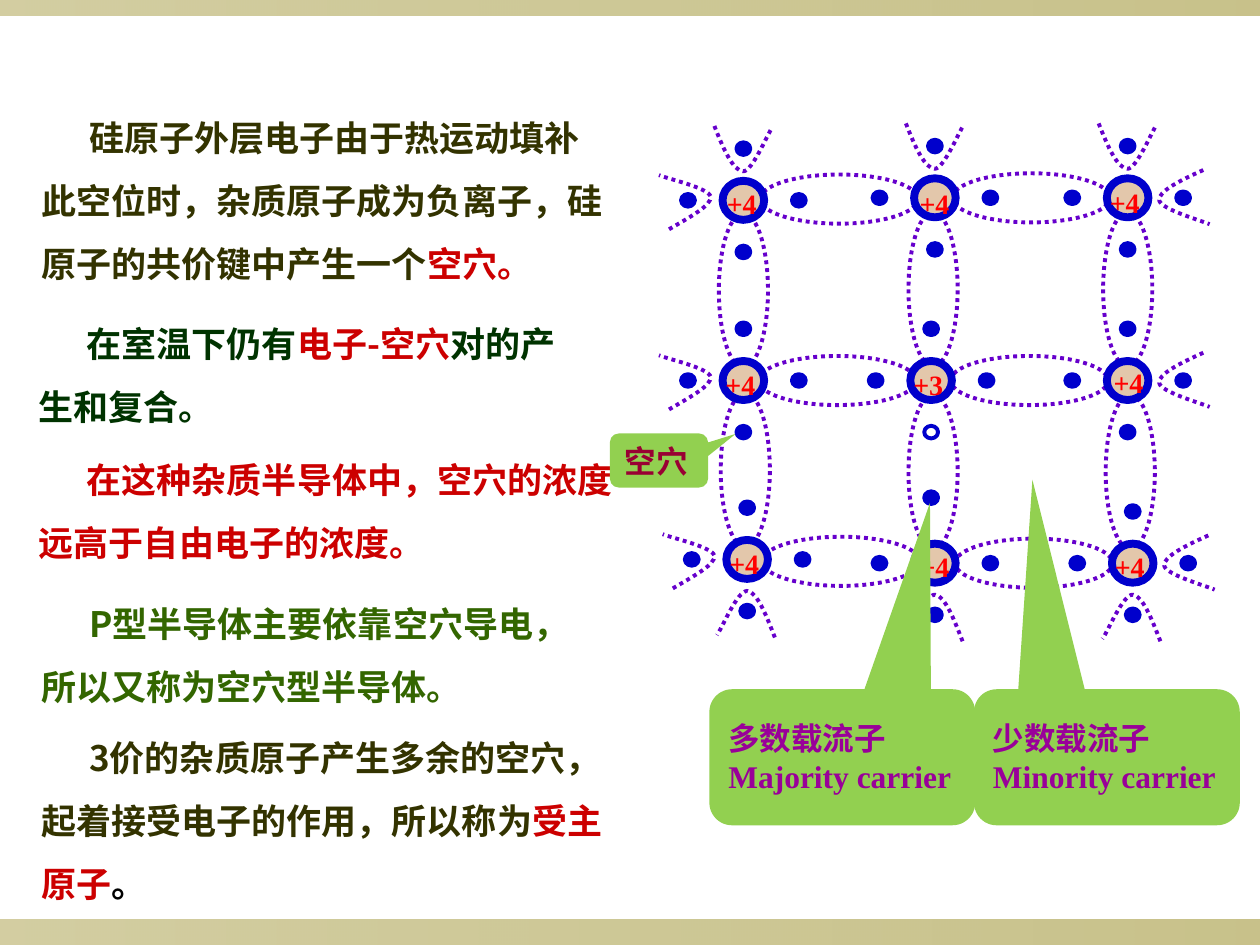
"""Build a slide on holes and carriers in a P-type semiconductor."""
from lxml import etree
from pptx import Presentation, util as u
from pptx.dml import color
from pptx.enum import dml, shapes, text
from pptx.oxml import ns

WIDE, HIGH = u.Inches(10), u.Inches(7.5)
COLS, ROWS = 10, 7.5
SANS, SERIF = "Noto Sans CJK SC", "Times New Roman"
BLUE, VIOLET, RED, GREEN = "0000CC", "6600CC", "CC0000", "92D050"
OLIVE, PINE, MOSS, PLUM = "333300", "003300", "336600", "990099"
ION, DOT, TAG = (0.33, 0.31), (0.11, 0.1), (0.54, 0.37)
STEPS = {"N": (0, -0.41), "S": (0, 0.41), "W": (-0.44, 0), "E": (0.44, 0)}

# Each atom: centre, label corner, charge, sides that hold an electron.
ATOMS = [
    [((5.9, 1.59), (5.67, 1.43), "+4", "NSWE"),
     ((7.42, 1.57), (7.2, 1.43), "+4", "NSWE"),
     ((8.95, 1.57), (8.71, 1.42), "+4", "NSWE")],
    [((5.9, 3.02), (5.66, 2.87), "+4", "NSWE"),
     ((7.39, 3.02), (7.15, 2.87), "+3", "NWE"),
     ((8.95, 3.02), (8.74, 2.85), "+4", "NSWE")],
    [((5.93, 4.44), (5.69, 4.29), "+4", "NSWE"),
     ((7.42, 4.47), (7.2, 4.31), "+4", "SWE"),
     ((8.99, 4.47), (8.75, 4.31), "+4", "NSWE")],
]
ARCS = {
    "N": [(-0.23, -0.59), (-0.16, -0.41), (-0.08, -0.23), (0, -0.23),
          (0.07, -0.23), (0.19, -0.52), (0.23, -0.58)],
    "S": [(0.22, 0.62), (0.15, 0.44), (0.08, 0.26), (0, 0.25),
          (-0.08, 0.25), (-0.2, 0.55), (-0.24, 0.6)],
    "W": [(-0.59, 0.23), (-0.42, 0.13), (-0.25, 0.04), (-0.26, -0.03),
          (-0.28, -0.1), (-0.6, -0.17), (-0.67, -0.2)],
    "E": [(0.6, -0.22), (0.42, -0.14), (0.24, -0.05), (0.25, 0.02),
          (0.26, 0.09), (0.58, 0.18), (0.65, 0.21)],
}
NOTES = [
    ((0.23, 0.71, 4.69, 1.6),
     [("硅原子外层电子由于热运动填补此空位时，杂质原子成为负离子，"
       "硅原子的共价键中产生一个", OLIVE), ("空穴。", RED)]),
    ((0.21, 2.34, 4.4, 1.1),
     [("在室温下仍有", PINE), ("电子-空穴", RED), ("对的产生和复合。", PINE)]),
    ((0.21, 3.42, 4.79, 1.1),
     [("在这种杂质半导体中，空穴的浓度远高于自由电子的浓度。", RED)]),
    ((0.23, 4.57, 4.53, 1.1),
     [("P型半导体主要依靠空穴导电，所以又称为空穴型半导体。", MOSS)]),
    ((0.23, 5.63, 4.84, 1.6),
     [("3价的杂质原子产生多余的空穴，起着接受电子的作用，所以称为", OLIVE),
      ("受主原子", RED), ("。", "000000")]),
]
CALLS = [
    ((5.63, 5.47, 2.11, 1.08), (0.33, -1.87), "多数载流子Majority carrier", PLUM),
    ((4.84, 3.44, 0.78, 0.43), (0.78, -0.49), "空穴", "990033"),
    ((7.73, 5.47, 2.11, 1.08), (-0.28, -2.04), "少数载流子Minority carrier", PLUM),
]


def rgb(code):
    """Turn a hex string into a colour."""
    return color.RGBColor.from_string(code)


def grid(x, y, w, h):
    """Turn columns and rows into slide lengths."""
    return [int(n) for n in (x * WIDE / COLS, y * HIGH / ROWS,
                             w * WIDE / COLS, h * HIGH / ROWS)]


def mid(spot, size):
    """Give the box of a size centred on a spot."""
    return spot[0] - size[0] / 2, spot[1] - size[1] / 2, *size


def paint(shape, fill=None, line=None, width=2.25, dots=False):
    """Set the fill and line of a shape, without shadow."""
    shape.shadow.inherit = False
    if fill:
        shape.fill.solid()
        shape.fill.fore_color.rgb = rgb(fill)
    else:
        shape.fill.background()
    if not line:
        shape.line.fill.background()
        return
    shape.line.color.rgb = rgb(line)
    shape.line.width = u.Pt(width)
    if dots:
        shape.line.dash_style = dml.MSO_LINE.ROUND_DOT


def oval(slide, spot, size, **look):
    """Draw an ellipse centred on a spot."""
    shape = slide.shapes.add_shape(shapes.MSO_SHAPE.OVAL, *grid(*mid(spot, size)))
    paint(shape, **look)
    return shape


def bar(slide, box):
    """Draw a faded band across the slide."""
    shape = slide.shapes.add_shape(shapes.MSO_SHAPE.RECTANGLE, *grid(*box))
    paint(shape)
    shape.fill.gradient()
    shape.fill.gradient_angle = 0
    for stop, share, alpha in zip(shape.fill.gradient_stops, (0, 1), (40, 50)):
        stop.position = share
        stop.color.rgb = rgb("918415")
        tone = stop.color._xFill.find(ns.qn("a:srgbClr"))
        for old in list(tone):
            tone.remove(old)
        etree.SubElement(tone, ns.qn("a:alpha"), val=str(alpha * 1000))


def write(shape, runs, size, face):
    """Fill a shape with one bold paragraph of coloured runs."""
    frame = shape.text_frame
    frame.word_wrap = True
    para = frame.paragraphs[0]
    para.alignment = text.PP_ALIGN.LEFT
    for words, tint in runs:
        run = para.add_run()
        run.text = words
        run.font.color.rgb = rgb(tint)
    font = para.font
    font.size, font.bold, font.name = u.Pt(size), True, face
    etree.SubElement(font._element, ns.qn("a:ea"), typeface=SANS)
    return para


def note(slide, box, runs):
    """Add a body text with an indented first line."""
    para = write(slide.shapes.add_textbox(*grid(*box)), runs, 20, SANS)
    para.line_spacing = 1.5
    para._p.get_or_add_pPr().set("indent", str(u.Inches(0.38)))


def call(slide, box, tip, words, tint):
    """Add a rounded callout that points at a tip."""
    kind = shapes.MSO_SHAPE.ROUNDED_RECTANGULAR_CALLOUT
    shape = slide.shapes.add_shape(kind, *grid(*box))
    shape.adjustments[0], shape.adjustments[1] = tip
    paint(shape, GREEN)
    shape.text_frame.vertical_anchor = text.MSO_ANCHOR.MIDDLE
    write(shape, [(words, tint)], 18, SERIF)


def bond(slide, one, two, upright=False):
    """Draw the dotted bond halfway between two atoms."""
    spot = [(a + b) / 2 for a, b in zip(one[0], two[0])]
    size = (1.22 if upright else 1.25, 0.39)
    shape = oval(slide, spot, size, line=VIOLET, dots=True)
    shape.rotation = 90 if upright else 0


def arc(slide, spot, side):
    """Draw the open bond on the outer side of an atom."""
    pts = [grid(spot[0] + x, spot[1] + y, 0, 0)[:2] for x, y in ARCS[side]]
    form = slide.shapes.build_freeform(*pts[0])
    form.add_line_segments(pts[1:], close=False)
    shape = form.convert_to_shape()
    paint(shape, line=VIOLET, dots=True)
    legs = list(shape._element.iter(ns.qn("a:lnTo")))
    trace = legs[0].getparent()
    for k in range(0, len(legs), 3):
        curve = etree.SubElement(trace, ns.qn("a:cubicBezTo"))
        for leg in legs[k:k + 3]:
            curve.append(leg[0])
            trace.remove(leg)


def dot(slide, spot, fill=BLUE):
    """Draw an electron, or a hole when there is no fill."""
    oval(slide, spot, DOT, fill=fill, line=BLUE)


def atom(slide, spot, tag, charge, sides):
    """Draw an atom core with its electrons and charge."""
    oval(slide, spot, ION, fill="E3C7AB", line=BLUE, width=4.5)
    for side in sides:
        dot(slide, [a + b for a, b in zip(spot, STEPS[side])])
    write(slide.shapes.add_textbox(*grid(*tag, *TAG)), [(charge, "FF0000")], 16, SERIF)


def lattice(slide):
    """Draw the crystal: bonds first, then atoms, then the hole."""
    for row in ATOMS:
        for pair in zip(row, row[1:]):
            bond(slide, *pair)
        arc(slide, row[0][0], "W")
        arc(slide, row[-1][0], "E")
    for col in zip(*ATOMS):
        for pair in zip(col, col[1:]):
            bond(slide, *pair, upright=True)
        arc(slide, col[0][0], "N")
        arc(slide, col[-1][0], "S")
    for row in ATOMS:
        for item in row:
            atom(slide, *item)
    dot(slide, (7.39, 3.43), None)
    dot(slide, (7.39, 3.95))


def main():
    """Build and save the slide."""
    deck = Presentation()
    deck.slide_width, deck.slide_height = WIDE, HIGH
    slide = deck.slides.add_slide(deck.slide_layouts[6])
    bar(slide, (0, 7.3, COLS, 0.2))
    bar(slide, (0, 0, COLS, 0.12))
    lattice(slide)
    for item in NOTES:
        note(slide, *item)
    for item in CALLS:
        call(slide, *item)
    deck.save("out.pptx")


if __name__ == "__main__":
    main()
